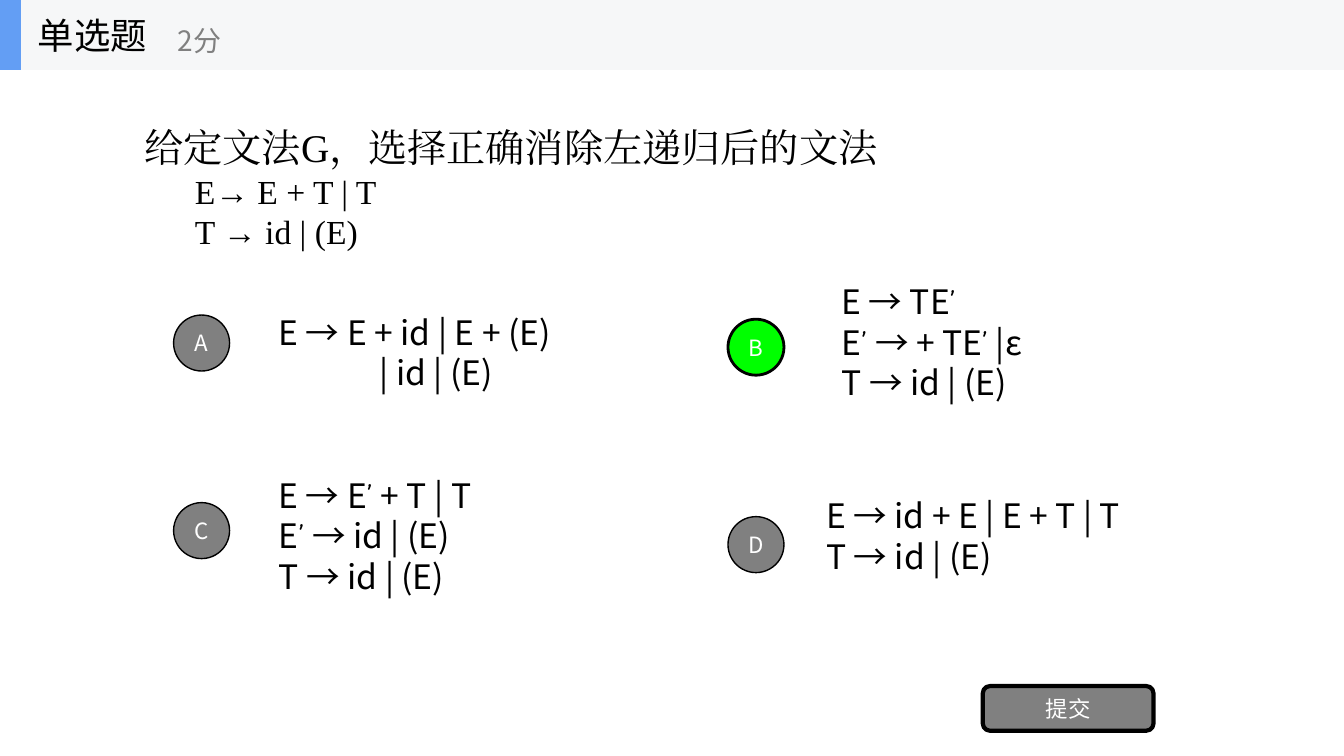
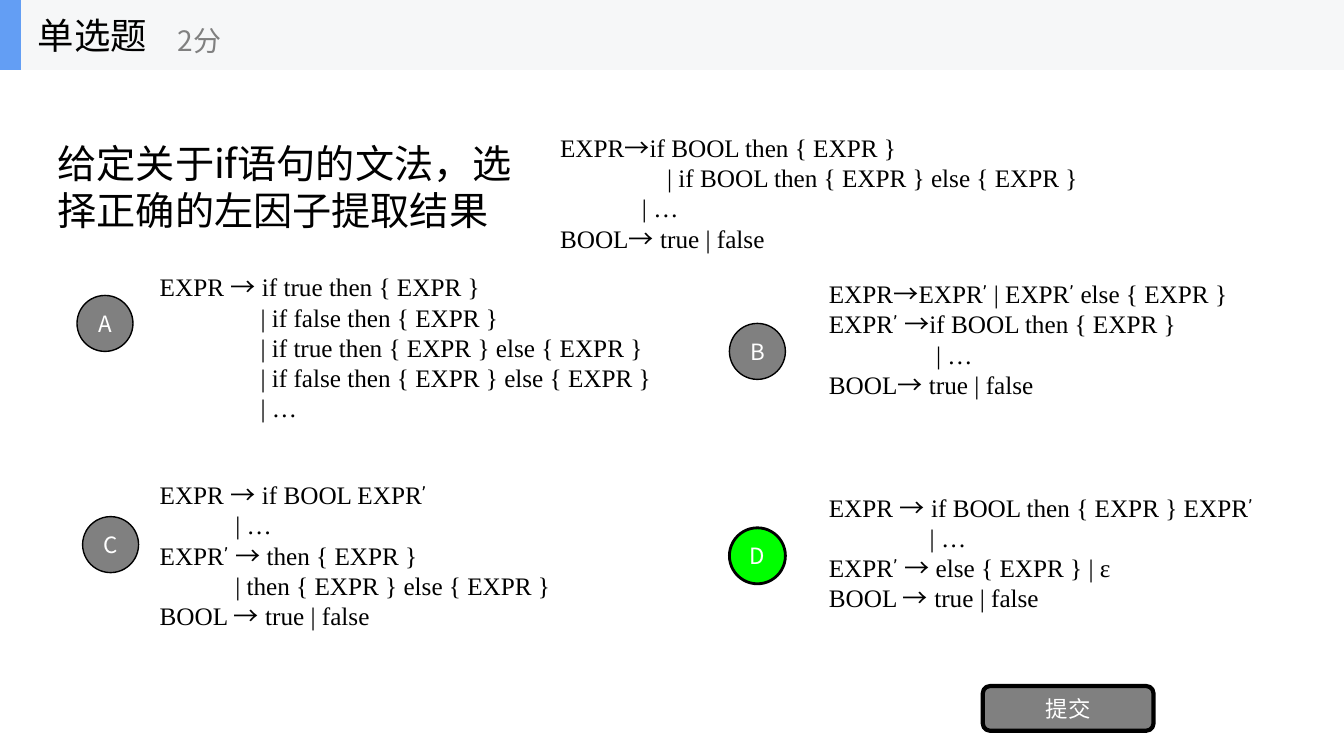
from dataclasses import dataclass
from itertools import groupby

from pptx import Presentation
from pptx.dml.color import RGBColor
from pptx.enum import shapes, text
from pptx.oxml import ns, xmlchemy
from pptx.util import Pt

BLACK = RGBColor(0x00, 0x00, 0x00)
WHITE = RGBColor(0xFF, 0xFF, 0xFF)
GRAY = RGBColor(0x80, 0x80, 0x80)
BAND = RGBColor(0xF6, 0xF7, 0xF8)
ACCENT = RGBColor(0x63, 0x9E, 0xF4)
CORRECT = RGBColor(0x00, 0xFF, 0x00)

SERIF = "Times New Roman"
SANS = "Noto Sans CJK JP"
LABEL = "Noto Sans CJK SC"
SYMBOL_FONTS = {"’": "Comic Neue", "→": SANS}
LINE_HEIGHT = 1.2


@dataclass
class Line:
    text: str
    indent: float = 0
    size: float = 0


class Quiz:
    def __init__(self):
        self.deck = Presentation()
        self.deck.slide_width, self.deck.slide_height = Pt(960), Pt(540)
        self.page = None

    def new_page(self):
        self.page = self.deck.slides.add_slide(self.deck.slide_layouts[5])
        self.header()

    def style(self, span, font, size, color):
        span.font.name, span.font.size = font, Pt(size)
        span.font.color.rgb = color
        east_asian = xmlchemy.OxmlElement("a:ea")
        east_asian.set("typeface", font)
        span.font._element.find(ns.qn("a:latin")).addnext(east_asian)

    def fill_text(self, box, lines, font, size, color=BLACK, symbols=SYMBOL_FONTS,
                  anchor=text.MSO_ANCHOR.MIDDLE, align=text.PP_ALIGN.LEFT):
        """Write the lines, giving each listed symbol its own font."""
        frame = box.text_frame
        frame.word_wrap = True
        frame.auto_size = text.MSO_AUTO_SIZE.NONE
        frame.vertical_anchor = anchor
        for number, line in enumerate(lines):
            para = frame.add_paragraph() if number else frame.paragraphs[0]
            line_size = line.size or size
            para.alignment = align
            para.line_spacing = Pt(line_size * LINE_HEIGHT)
            if line.indent:
                properties = para._p.get_or_add_pPr()
                properties.set("marL", str(Pt(line.indent)))
                properties.set("indent", "0")
            for name, letters in groupby(line.text, lambda letter: symbols.get(letter, font)):
                span = para.add_run()
                span.text = "".join(letters)
                self.style(span, name, line_size, color)

    def text_box(self, place, lines, font, size, parent=None, **options):
        owner = parent or self.page
        box = owner.shapes.add_textbox(*map(Pt, place))
        self.fill_text(box, lines, font, size, **options)

    def shape(self, kind, place, fill, outline=0, parent=None):
        owner = parent or self.page
        shape = owner.shapes.add_shape(kind, *map(Pt, place))
        shape.shadow.inherit = False
        shape.fill.solid()
        shape.fill.fore_color.rgb = fill
        if outline:
            shape.line.color.rgb, shape.line.width = BLACK, Pt(outline)
        else:
            shape.line.fill.background()
        return shape

    def header(self):
        group = self.page.shapes.add_group_shape()
        rectangle = shapes.MSO_SHAPE.RECTANGLE
        self.shape(rectangle, (0, 0, 960, 50), BAND, parent=group)
        self.shape(rectangle, (0, 0, 15, 50), ACCENT, parent=group)
        self.text_box((20, 0, 150, 50), [Line("单选题")], LABEL, 26, parent=group)
        self.text_box((120, 9, 180, 40), [Line("2分")], LABEL, 20, parent=group, color=GRAY)

    def question(self, place, lines, font):
        title = self.page.shapes.title
        title.left, title.top, title.width, title.height = map(Pt, place)
        self.fill_text(title, lines, font, 28, symbols={})

    def label(self, shape, words):
        frame = shape.text_frame
        frame.margin_left = frame.margin_right = frame.margin_top = frame.margin_bottom = 0
        self.fill_text(shape, [Line(words)], LABEL, 16, color=WHITE, align=text.PP_ALIGN.CENTER)

    def choices(self, options, correct, font, size):
        """Draw each option as a lettered badge beside its grammar."""
        for letter, (left, top), place, lines in options:
            right = letter == correct
            badge = self.shape(shapes.MSO_SHAPE.OVAL, (left, top, 40, 40),
                               CORRECT if right else GRAY, 2 if right else 1)
            self.label(badge, letter)
            self.text_box(place, lines, font, size)

    def submit_button(self):
        button = self.shape(shapes.MSO_SHAPE.ROUNDED_RECTANGLE, (702, 490, 122, 32), GRAY, 3)
        self.label(button, "提交")


def left_recursion(quiz):
    quiz.new_page()
    quiz.question((96, 50, 768, 168), [
        Line("给定文法G，选择正确消除左递归后的文法"),
        Line("E→ E + T | T", 36, 24),
        Line("T → id | (E)", 36, 24),
    ], SERIF)
    quiz.choices([
        ("A", (124, 225), (192, 220, 248, 63), [
            Line("E → E + id | E + (E)"),
            Line("| id | (E)", 72)]),
        ("B", (520, 228), (594, 202, 216, 84), [
            Line("E → TE’"),
            Line("E’ → + TE’ |ε"),
            Line("T → id | (E)")]),
        ("C", (124, 359), (192, 336, 168, 93), [
            Line("E → E’ + T | T"),
            Line("E’ → id | (E)"),
            Line("T → id | (E)")]),
        ("D", (520, 369), (583, 346, 312, 73), [
            Line("E → id + E | E + T | T"),
            Line("T → id | (E)")]),
    ], "B", SANS, 24)
    quiz.submit_button()


def left_factoring(quiz):
    quiz.new_page()
    quiz.question((34, 49, 352, 168),
                  [Line("给定关于if语句的文法，选择正确的左因子提取结果")], SANS)
    quiz.text_box((393, 91, 504, 124), [
        Line("EXPR→if BOOL then { EXPR }"),
        Line("| if BOOL then { EXPR } else { EXPR }", 76.5),
        Line("| …", 58.5),
        Line("BOOL→ true | false"),
    ], SERIF, 18, anchor=text.MSO_ANCHOR.TOP)
    quiz.choices([
        ("A", (55, 211), (107, 186, 378, 124), [
            Line("EXPR → if true then { EXPR }"),
            Line("| if false then { EXPR }", 72),
            Line("| if true then { EXPR } else { EXPR }", 72),
            Line("| if false then { EXPR } else { EXPR }", 72),
            Line("| …", 72)]),
        ("B", (521, 231), (585, 186, 316, 112), [
            Line("EXPR→EXPR’ | EXPR’ else { EXPR }"),
            Line("EXPR’ →if BOOL then { EXPR }"),
            Line("| …", 76.5),
            Line("BOOL→ true | false")]),
        ("C", (59, 369), (107, 343, 318, 107), [
            Line("EXPR → if BOOL EXPR’"),
            Line("| …", 54),
            Line("EXPR’ → then { EXPR }"),
            Line("| then { EXPR } else { EXPR }", 54),
            Line("BOOL → true | false")]),
        ("D", (521, 377), (585, 341, 340, 107), [
            Line("EXPR → if BOOL then { EXPR } EXPR’"),
            Line("| …", 72),
            Line("EXPR’ → else { EXPR } | ε"),
            Line("BOOL → true | false")]),
    ], "D", SERIF, 18)
    quiz.submit_button()


def main():
    quiz = Quiz()
    left_recursion(quiz)
    left_factoring(quiz)
    quiz.deck.save("out.pptx")


if __name__ == "__main__":
    main()
